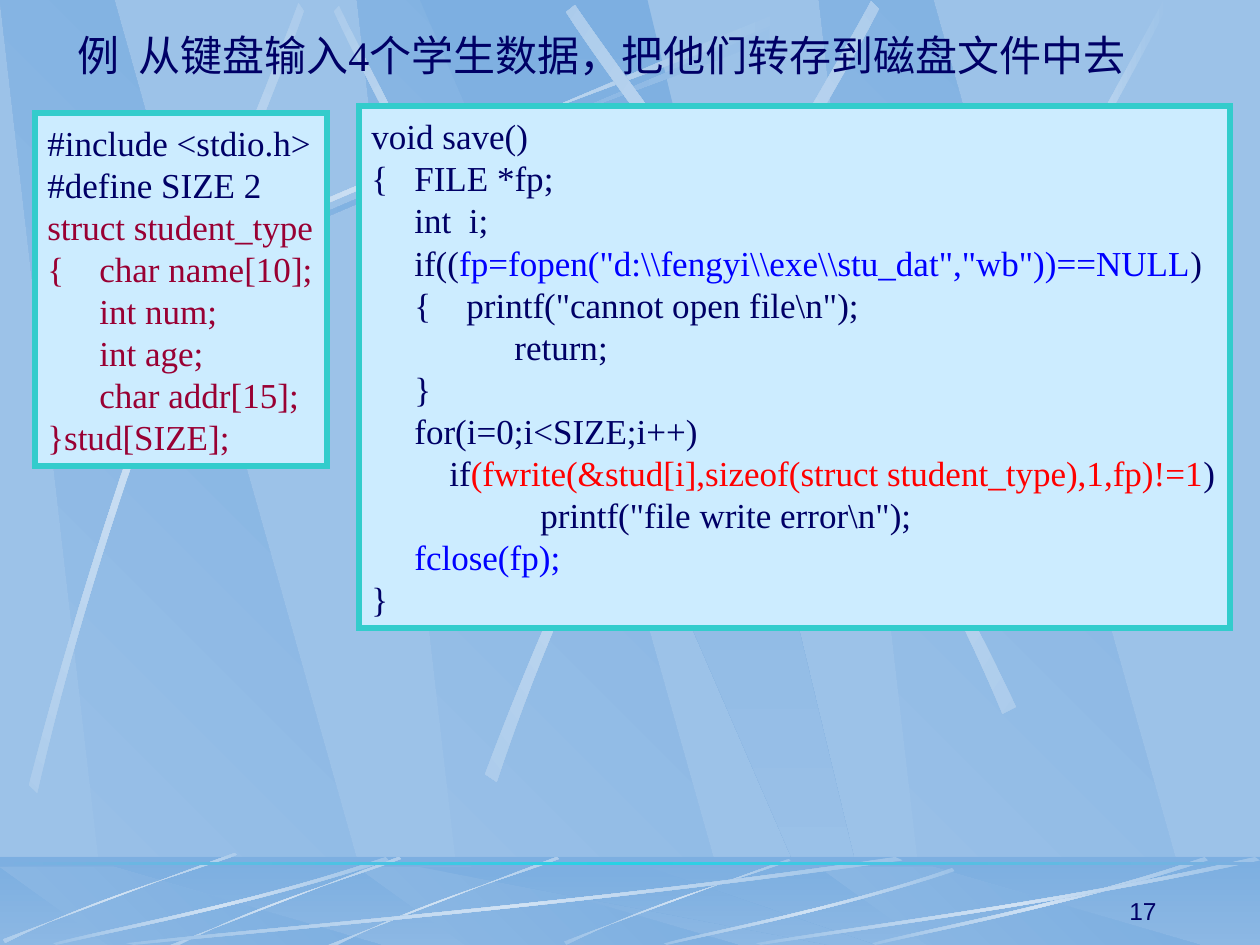
from dataclasses import dataclass
from math import cos, radians, sin

from lxml import etree
from pptx import Presentation
from pptx.dml.color import RGBColor
from pptx.enum.shapes import MSO_SHAPE
from pptx.enum.text import MSO_ANCHOR, PP_ALIGN
from pptx.oxml.ns import qn
from pptx.util import Pt

RECTANGLE = MSO_SHAPE.RECTANGLE
MIDDLE, BOTTOM = MSO_ANCHOR.MIDDLE, MSO_ANCHOR.BOTTOM
LEFT, CENTER, RIGHT = PP_ALIGN.LEFT, PP_ALIGN.CENTER, PP_ALIGN.RIGHT
SCALE = 914400 / 126
WIDTH, HEIGHT = 1260, 945


@dataclass(frozen=True)
class Theme:
    sky: str = "9CC2E8"
    shade: str = "7DAFE1"
    light: str = "D0E2F4"
    rule: str = "26D2E4"
    panel: str = "CCECFF"
    border: str = "33CCCC"
    navy: str = "000066"
    maroon: str = "990033"
    blue: str = "0000FF"
    red: str = "FF0000"
    serif: str = "Times New Roman"
    sans: str = "Arial"
    title_size: int = 24
    code_size: int = 20
    code_pitch: int = 24
    number_size: int = 14


THEME = Theme()
FADE = (THEME.sky, THEME.light, THEME.sky)
DARK_FADE = (THEME.sky, THEME.shade, THEME.sky)

# Outlines as fractions of their box
SLANTED_PANE = [(0.285, 1), (1, 1), (0.3, 0), (0, 0)]
WIDE_PANE = [(0, 0), (0.9, 1), (1, 1), (0.5, 0)]
# Streaks: two Bezier edges of four points each
STEEP = [(0, 0.99), (0.35, 0.52), (0.81, 0.16), (0.98, 0),
         (1, 0.01), (0.84, 0.17), (0.31, 0.57), (0.03, 1)]
SHALLOW = [(0, 0.96), (0.43, 0.54), (0.83, 0.15), (0.99, 0),
           (1, 0.02), (0.83, 0.19), (0.38, 0.5), (0.01, 1)]
FLAT = [(1, 0.04), (0.57, 0.57), (0.17, 0.85), (0.01, 1),
        (0, 0.98), (0.17, 0.81), (0.62, 0.5), (0.99, 0)]


def emu(pixels):
    return round(pixels * SCALE)


def rgb(color):
    return RGBColor.from_string(color)


def paint(shape, colors, angle=0):
    """Fill with one colour, or with evenly spaced gradient stops."""
    shape.shadow.inherit = False
    shape.line.fill.background()
    if isinstance(colors, str):
        shape.fill.solid()
        shape.fill.fore_color.rgb = rgb(colors)
        return
    shape.fill.gradient()
    shape.fill.gradient_angle = (360 - angle) % 360
    stops = shape._element.spPr.find(".//" + qn("a:gsLst"))
    for stop in list(stops):
        stops.remove(stop)
    for index, color in enumerate(colors):
        position = str(100000 * index // (len(colors) - 1))
        stop = etree.SubElement(stops, qn("a:gs"), pos=position)
        etree.SubElement(stop, qn("a:srgbClr"), val=color)


def add_rectangle(slide, box, colors, angle=0):
    shape = slide.shapes.add_shape(RECTANGLE, *map(emu, box))
    paint(shape, colors, angle)
    return shape


def turn(point, degrees):
    x, y = point
    c, s = cos(radians(degrees)), sin(radians(degrees))
    return x * c - y * s, x * s + y * c


def add_outline(slide, box, points, colors, angle=0, mirror=False, rotation=0):
    """Draw the outline inside box; a rotated shape still covers that box."""
    left, top, width, height = box
    corners = [turn((emu(left + (1 - x if mirror else x) * width),
                     emu(top + y * height)), -rotation) for x, y in points]
    builder = slide.shapes.build_freeform(*corners[0], scale=1.0)
    builder.add_line_segments(corners[1:], close=True)
    shape = builder.convert_to_shape()
    x, y = turn((shape.left + shape.width / 2, shape.top + shape.height / 2), rotation)
    shape.left, shape.top = round(x - shape.width / 2), round(y - shape.height / 2)
    shape.rotation = rotation
    paint(shape, colors, angle)
    return shape


def add_streak(slide, box, points, colors, mirror=False, rotation=0):
    shape = add_outline(slide, box, points, colors, mirror=mirror, rotation=rotation)
    segments = list(shape._element.iter(qn("a:lnTo")))
    for edge in (segments[:3], segments[4:7]):
        curve = etree.Element(qn("a:cubicBezTo"))
        edge[0].addprevious(curve)
        for segment in edge:
            curve.append(segment[0])
            segment.getparent().remove(segment)


def write(paragraph, text, *, size, color=THEME.navy, font=THEME.serif, align=LEFT):
    paragraph.alignment = align
    run = paragraph.add_run()
    run.text = text
    run.font.size = Pt(size)
    run.font.name = font
    run.font.color.rgb = rgb(color)


def add_label(slide, box, text, anchor, **text_format):
    frame = slide.shapes.add_textbox(*map(emu, box)).text_frame
    frame.word_wrap = True
    frame.vertical_anchor = anchor
    write(frame.paragraphs[0], text, **text_format)


def add_panes(slide, top, height):
    for left in (357, 0, 819):
        add_outline(slide, (left, top, 381, height), SLANTED_PANE,
                    (THEME.sky, THEME.shade), 315)
    add_outline(slide, (420, top, 455, height), WIDE_PANE, (THEME.shade, THEME.sky), 90)


def add_backdrop(slide, box):
    left, top, _, height = box
    add_panes(slide, top, height)
    for x, y, w, h, points, colors, mirror, rotation in (
            (25, 23, 768, 336, SHALLOW, DARK_FADE, False, 0),
            (334, 6, 246, 547, STEEP, FADE, True, 45),
            (18, 13, 767, 336, SHALLOW, FADE, False, 0),
            (29, 3, 275, 790, STEEP, FADE, False, 311.7),
            (485, 1, 394, 781, STEEP, FADE, False, 321.6),
            (566, 5, 450, 709, STEEP, FADE, True, 34.7),
            (930, 0, 238, 500, STEEP, FADE, False, 0)):
        add_streak(slide, (left + x, top + y, w, h), points, colors, mirror, rotation)


def add_footer(slide, box, number):
    left, top, width, height = box
    add_rectangle(slide, box, (THEME.shade, THEME.sky), 90)
    add_panes(slide, top + 10, height - 10)
    veil = add_rectangle(slide, box, THEME.shade)
    color = veil._element.spPr.find(".//" + qn("a:srgbClr"))
    etree.SubElement(color, qn("a:alpha"), val="50000")
    for x, y, w, h, points, rotation in (
            (564, 2, 227, 86, SHALLOW, 0), (323, 0, 236, 94, SHALLOW, 315),
            (165, 0, 236, 94, SHALLOW, 315), (3, -4, 234, 90, SHALLOW, 315),
            (126, 0, 777, 88, FLAT, 0), (53, 0, 336, 88, FLAT, 0),
            (664, 11, 291, 77, FLAT, 0), (872, 0, 336, 88, FLAT, 0),
            (756, 0, 504, 88, FLAT, 0)):
        add_streak(slide, (left + x, top + y, w, h), points, FADE, rotation=rotation)
    add_rectangle(slide, (left, top + 5, width, 3), (THEME.shade, THEME.rule, THEME.shade))
    add_label(slide, (left + 907, top + 12, 262, 63), number, BOTTOM,
              size=THEME.number_size, font=THEME.sans, align=RIGHT)


def add_code_panel(slide, box, lines):
    """Each line is (margin, hanging indent, (text, colour), ...)."""
    panel = add_rectangle(slide, box, THEME.panel)
    panel.line.color.rgb = rgb(THEME.border)
    panel.line.width = Pt(3)
    outline = panel._element.spPr.find(qn("a:ln"))
    etree.SubElement(outline, qn("a:miter"), lim="800000")
    frame = panel.text_frame
    frame.word_wrap = True
    frame.vertical_anchor = MIDDLE
    frame.margin_right = 0
    for index, (margin, hanging, *parts) in enumerate(lines):
        paragraph = frame.add_paragraph() if index else frame.paragraphs[0]
        paragraph.line_spacing = Pt(THEME.code_pitch)
        for text, color in parts:
            write(paragraph, text, size=THEME.code_size, color=color)
        properties = paragraph._p.get_or_add_pPr()
        properties.set("marL", str(emu(margin)))
        properties.set("indent", str(-emu(hanging)))


NAVY, MAROON, BLUE, RED = THEME.navy, THEME.maroon, THEME.blue, THEME.red
STRUCT_LINES = [
    (0, 0, ("#include <stdio.h>", NAVY)),
    (0, 0, ("#define SIZE 2", NAVY)),
    (0, 0, ("struct student_type", MAROON)),
    (52, 52, ("{\tchar name[10];", MAROON)),
    *((52, 0, (field, MAROON)) for field in ("int num;", "int age;", "char addr[15];")),
    (0, 0, ("}stud[SIZE];", MAROON)),
]
SAVE_LINES = [
    (0, 0, ("void save()", NAVY)),
    (43, 43, ("{\tFILE *fp;", NAVY)),
    (43, 0, ("int  i;", NAVY)),
    (43, 0, ("if((", NAVY),
     (r'fp=fopen("d:\\fengyi\\exe\\stu_dat","wb"))==NULL', BLUE), (")", NAVY)),
    (95, 52, ('{\tprintf("cannot open file\\n");', NAVY)),
    (143, 0, ("return;", NAVY)),
    (43, 0, ("}", NAVY)),
    (43, 0, ("for(i=0;i<SIZE;i++)", NAVY)),
    (78, 0, ("if", NAVY),
     ("(fwrite(&stud[i],sizeof(struct student_type),1,fp)!=1", RED), (")", NAVY)),
    (169, 0, ('printf("file write error\\n");', NAVY)),
    (43, 0, ("fclose(fp);", BLUE)),
    (0, 0, ("}", NAVY)),
]

presentation = Presentation()
presentation.slide_width, presentation.slide_height = emu(WIDTH), emu(HEIGHT)
slide = presentation.slides.add_slide(presentation.slide_layouts[6])
slide.background.fill.solid()
slide.background.fill.fore_color.rgb = rgb(THEME.sky)

add_backdrop(slide, (0, 0, WIDTH, HEIGHT))
add_footer(slide, (0, 857, WIDTH, 88), "17")
add_code_panel(slide, (35, 113, 292, 353), STRUCT_LINES)
add_code_panel(slide, (359, 106, 871, 522), SAVE_LINES)
add_label(slide, (13, -2, 1177, 113), "例  从键盘输入4个学生数据，把他们转存到磁盘文件中去",
          MIDDLE, size=THEME.title_size, align=CENTER)

presentation.save("out.pptx")
